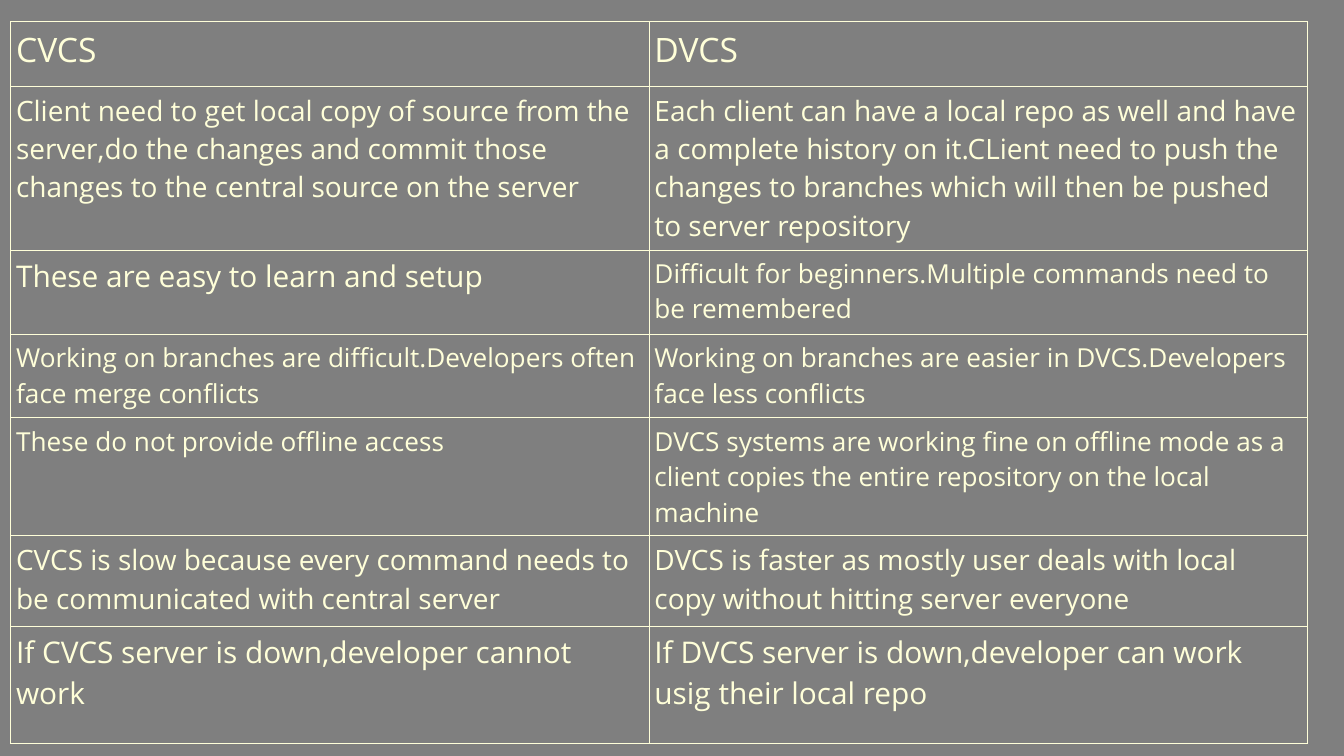
from dataclasses import dataclass

from lxml import etree
from pptx import Presentation
from pptx.dml.color import RGBColor
from pptx.oxml.ns import qn
from pptx.util import Inches, Pt

SLIDE_WIDTH = 10
SLIDE_HEIGHT = SLIDE_WIDTH * 9 / 16
LEFT, TOP = 0.08, 0.16
COLUMN_WIDTHS = (4.75, 4.9)
FONT = "Open Sans"
GREY, CREAM = "7F7F7F", "FFFFD9"
BORDER_POINTS = 0.5
BORDER_SIDES = ("a:lnL", "a:lnR", "a:lnT", "a:lnB")
CELL_FORMAT = {
    "margin_left": Inches(0.04),
    "margin_right": Inches(0.04),
    "margin_top": Inches(0.04),
    "margin_bottom": Inches(0.04),
}
TABLE_FORMAT = {"first_row": False, "horz_banding": False}


@dataclass(frozen=True)
class Comparison:
    height: float
    sizes: tuple[int, int]
    cvcs: str
    dvcs: str


COMPARISONS = (
    Comparison(0.48, (18, 18), "CVCS", "DVCS"),
    Comparison(
        0.87, (15, 15),
        "Client need to get local copy of source from the server,do the changes "
        "and commit those changes to the central source on the server",
        "Each client can have a local repo as well and have a complete history on "
        "it.CLient need to push the changes to branches which will then be pushed "
        "to server repository",
    ),
    Comparison(
        0.63, (16, 14),
        "These are easy to learn and setup",
        "Difficult for beginners.Multiple commands need to be remembered",
    ),
    Comparison(
        0.62, (14, 14),
        "Working on branches are difficult.Developers often face merge conflicts",
        "Working on branches are easier in DVCS.Developers face less conflicts",
    ),
    Comparison(
        0.69, (14, 14),
        "These do not provide offline access",
        "DVCS systems are working fine on offline mode as a client copies the "
        "entire repository on the local machine",
    ),
    Comparison(
        0.68, (15, 15),
        "CVCS is slow because every command needs to be communicated with central server",
        "DVCS is faster as mostly user deals with local copy without hitting server everyone",
    ),
    Comparison(
        0.87, (16, 16),
        "If CVCS server is down,developer cannot work",
        "If DVCS server is down,developer can work usig their local repo",
    ),
)


def color(hex_value: str) -> RGBColor:
    return RGBColor.from_string(hex_value)


def apply_format(target, values: dict) -> None:
    for attribute, value in values.items():
        setattr(target, attribute, value)


def add_borders(cell) -> None:
    properties = cell._tc.get_or_add_tcPr()
    for side in BORDER_SIDES:
        border = etree.SubElement(properties, qn(side), w=str(Pt(BORDER_POINTS)))
        fill = etree.SubElement(border, qn("a:solidFill"))
        etree.SubElement(fill, qn("a:srgbClr"), val=CREAM)


def write_cell(cell, wording: str, size: int) -> None:
    apply_format(cell, CELL_FORMAT)
    add_borders(cell)
    cell.fill.background()
    statement = cell.text_frame.paragraphs[0].add_run()
    statement.text = wording
    apply_format(statement.font, {"name": FONT, "size": Pt(size)})
    statement.font.color.rgb = color(CREAM)


def add_comparison_table(slide) -> None:
    total_height = sum(comparison.height for comparison in COMPARISONS)
    table = slide.shapes.add_table(
        len(COMPARISONS), len(COLUMN_WIDTHS), Inches(LEFT), Inches(TOP),
        Inches(sum(COLUMN_WIDTHS)), Inches(total_height),
    ).table
    apply_format(table, TABLE_FORMAT)
    for column, width in zip(table.columns, COLUMN_WIDTHS):
        column.width = Inches(width)
    for row, comparison in zip(table.rows, COMPARISONS):
        row.height = Inches(comparison.height)
        wordings = (comparison.cvcs, comparison.dvcs)
        for cell, wording, size in zip(row.cells, wordings, comparison.sizes):
            write_cell(cell, wording, size)


def main() -> None:
    presentation = Presentation()
    presentation.slide_width = Inches(SLIDE_WIDTH)
    presentation.slide_height = Inches(SLIDE_HEIGHT)
    slide = presentation.slides.add_slide(presentation.slide_layouts[6])
    slide.background.fill.solid()
    slide.background.fill.fore_color.rgb = color(GREY)
    add_comparison_table(slide)
    presentation.save("out.pptx")


main()
